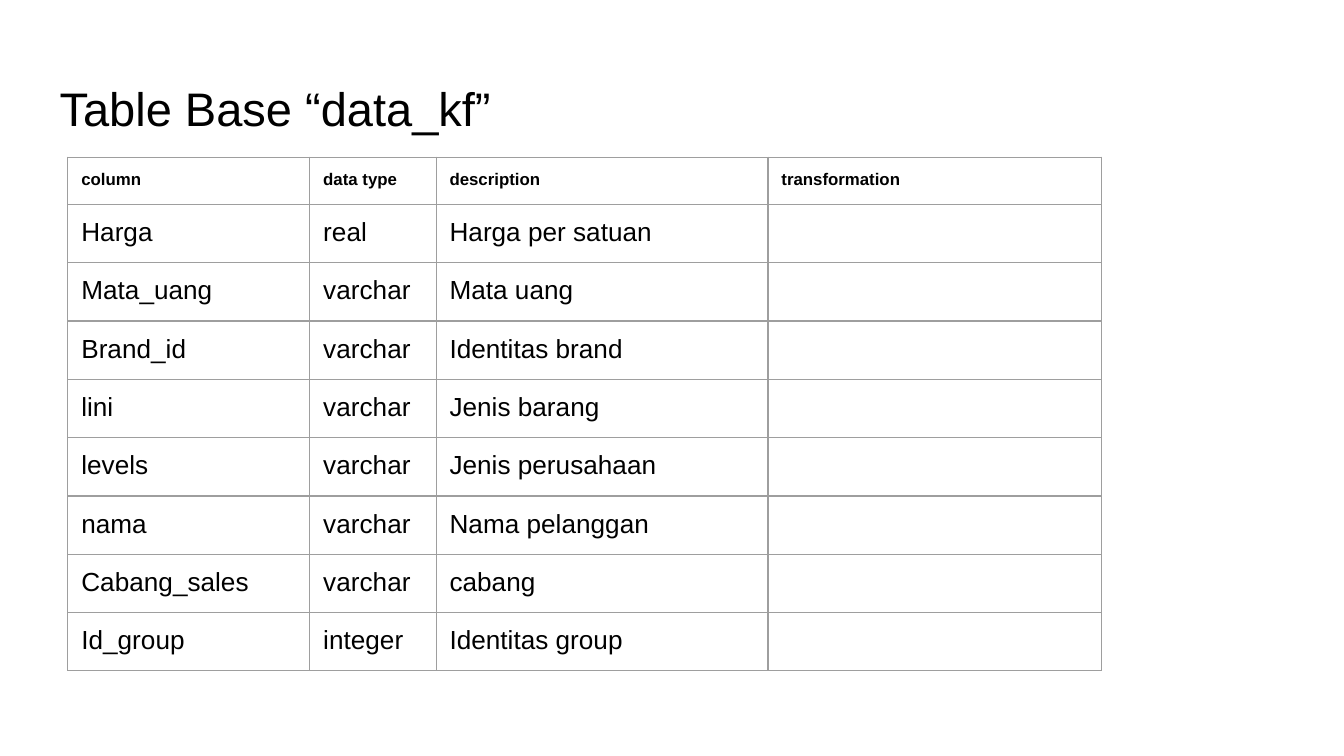
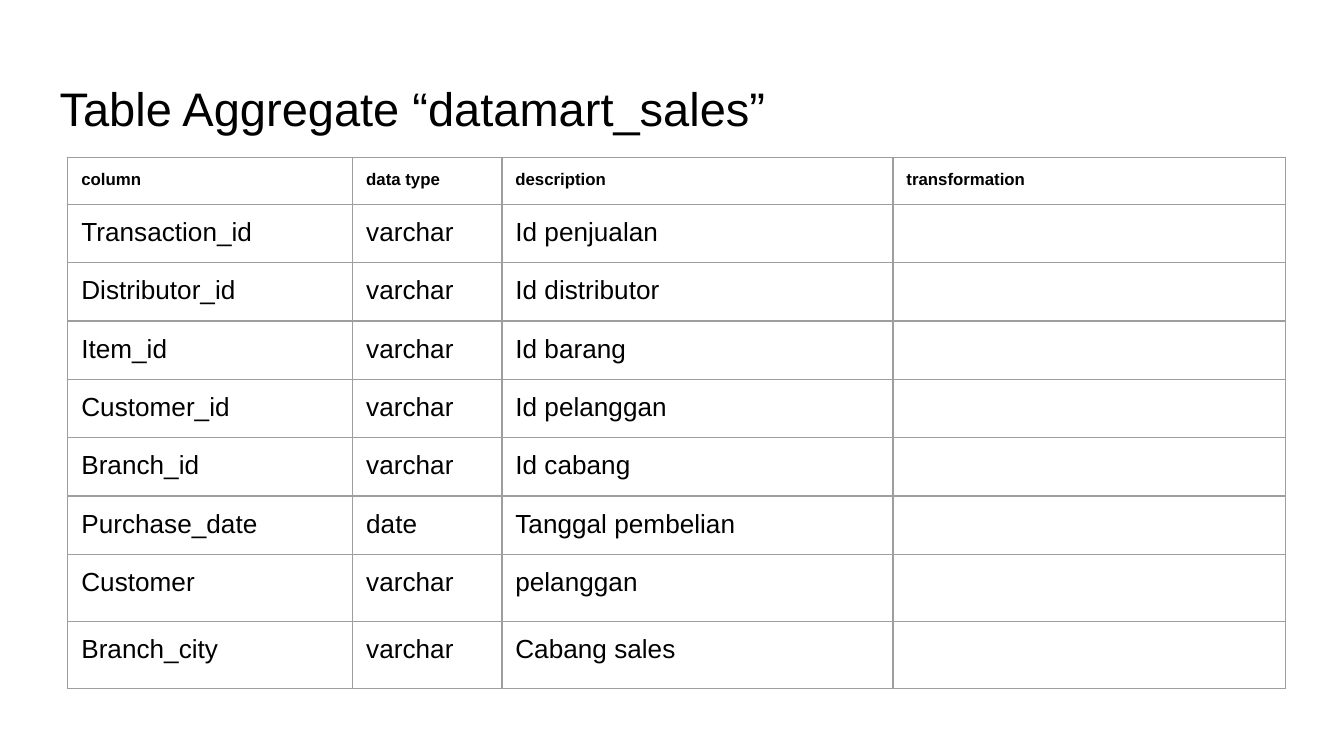
from dataclasses import dataclass

from lxml.etree import SubElement
from pptx import Presentation
from pptx.dml.color import RGBColor
from pptx.enum.text import MSO_ANCHOR as Anchor
from pptx.oxml.ns import qn
from pptx.util import Emu, Pt

PX = 4572
FONT = "Arial"
COLORS = {"text": "000000", "border": "9E9E9E", "page": "FFFFFF"}
PAGE_WIDTH, PAGE_HEIGHT = 2000, 1125
TITLE_BOX = (69, 98, 1864, 126)
TABLE_LEFT, TABLE_TOP = 101, 234
INSET = 20
TITLE_SIZE, HEADER_SIZE, BODY_SIZE = 25.2, 9, 14
BORDER_WIDTH = 0.75
HEADER = ("column", "data type", "description", "transformation")


@dataclass(frozen=True)
class SchemaPage:
    title: str
    widths: tuple[int, ...]
    heights: tuple[int, ...]
    frame_height: int
    fields: tuple[tuple[str, str, str], ...]


PAGES = (
    SchemaPage(
        "Table Base “data_kf”",
        (360, 188, 494, 496),
        (70,) * 9,
        764,
        (
            ("Harga", "real", "Harga per satuan"),
            ("Mata_uang", "varchar", "Mata uang"),
            ("Brand_id", "varchar", "Identitas brand"),
            ("lini", "varchar", "Jenis barang"),
            ("levels", "varchar", "Jenis perusahaan"),
            ("nama", "varchar", "Nama pelanggan"),
            ("Cabang_sales", "varchar", "cabang"),
            ("Id_group", "integer", "Identitas group"),
        ),
    ),
    SchemaPage(
        "Table Aggregate “datamart_sales”",
        (424, 222, 582, 584),
        (70,) * 7 + (100,) * 2,
        790,
        (
            ("Transaction_id", "varchar", "Id penjualan"),
            ("Distributor_id", "varchar", "Id distributor"),
            ("Item_id", "varchar", "Id barang"),
            ("Customer_id", "varchar", "Id pelanggan"),
            ("Branch_id", "varchar", "Id cabang"),
            ("Purchase_date", "date", "Tanggal pembelian"),
            ("Customer", "varchar", "pelanggan"),
            ("Branch_city", "varchar", "Cabang sales"),
        ),
    ),
)


def px(length: int) -> Emu:
    return Emu(length * PX)


def set_insets(target) -> None:
    target.margin_left = target.margin_right = px(INSET)
    target.margin_top = target.margin_bottom = px(INSET)


def add_span(para, text: str, size: float, bold: bool = False) -> None:
    span = para.add_run()
    span.text = text
    span.font.name = FONT
    span.font.size = Pt(size)
    span.font.bold = bold
    span.font.color.rgb = RGBColor.from_string(COLORS["text"])


def add_title(page, text: str) -> None:
    box = page.shapes.add_textbox(*map(px, TITLE_BOX))
    frame = box.text_frame
    frame.word_wrap = True
    frame.vertical_anchor = Anchor.MIDDLE
    set_insets(frame)
    add_span(frame.paragraphs[0], text, TITLE_SIZE)


def add_borders(cell) -> None:
    properties = cell._tc.get_or_add_tcPr()
    for side in ("lnL", "lnR", "lnT", "lnB"):
        line = SubElement(properties, qn(f"a:{side}"), w=str(Pt(BORDER_WIDTH)))
        fill = SubElement(line, qn("a:solidFill"))
        SubElement(fill, qn("a:srgbClr"), val=COLORS["border"])


def fill_cell(cell, text: str, size: int, bold: bool) -> None:
    set_insets(cell)
    add_borders(cell)
    cell.fill.background()
    para = cell.text_frame.paragraphs[0]
    if text:
        add_span(para, text, size, bold)
    else:
        ending = SubElement(para._p, qn("a:endParaRPr"), sz=str(size * 100))
        SubElement(ending, qn("a:latin"), typeface=FONT)


def add_schema_table(page, schema: SchemaPage) -> None:
    rows = (HEADER, *((*field, "") for field in schema.fields))
    shape = page.shapes.add_table(
        len(rows), len(HEADER), px(TABLE_LEFT), px(TABLE_TOP),
        px(sum(schema.widths)), px(sum(schema.heights)),
    )
    table = shape.table
    table.first_row = table.horz_banding = False
    for column, width in zip(table.columns, schema.widths):
        column.width = px(width)
    for row, height in zip(table.rows, schema.heights):
        row.height = px(height)
    shape.height = px(schema.frame_height)
    for row_index, texts in enumerate(rows):
        is_header = row_index == 0
        size = HEADER_SIZE if is_header else BODY_SIZE
        for column_index, text in enumerate(texts):
            fill_cell(table.cell(row_index, column_index), text, size, is_header)


def main() -> None:
    deck = Presentation()
    deck.slide_width, deck.slide_height = px(PAGE_WIDTH), px(PAGE_HEIGHT)
    for schema in PAGES:
        page = deck.slides.add_slide(deck.slide_layouts[6])
        background = page.background.fill
        background.solid()
        background.fore_color.rgb = RGBColor.from_string(COLORS["page"])
        add_title(page, schema.title)
        add_schema_table(page, schema)
    deck.save("out.pptx")


if __name__ == "__main__":
    main()
